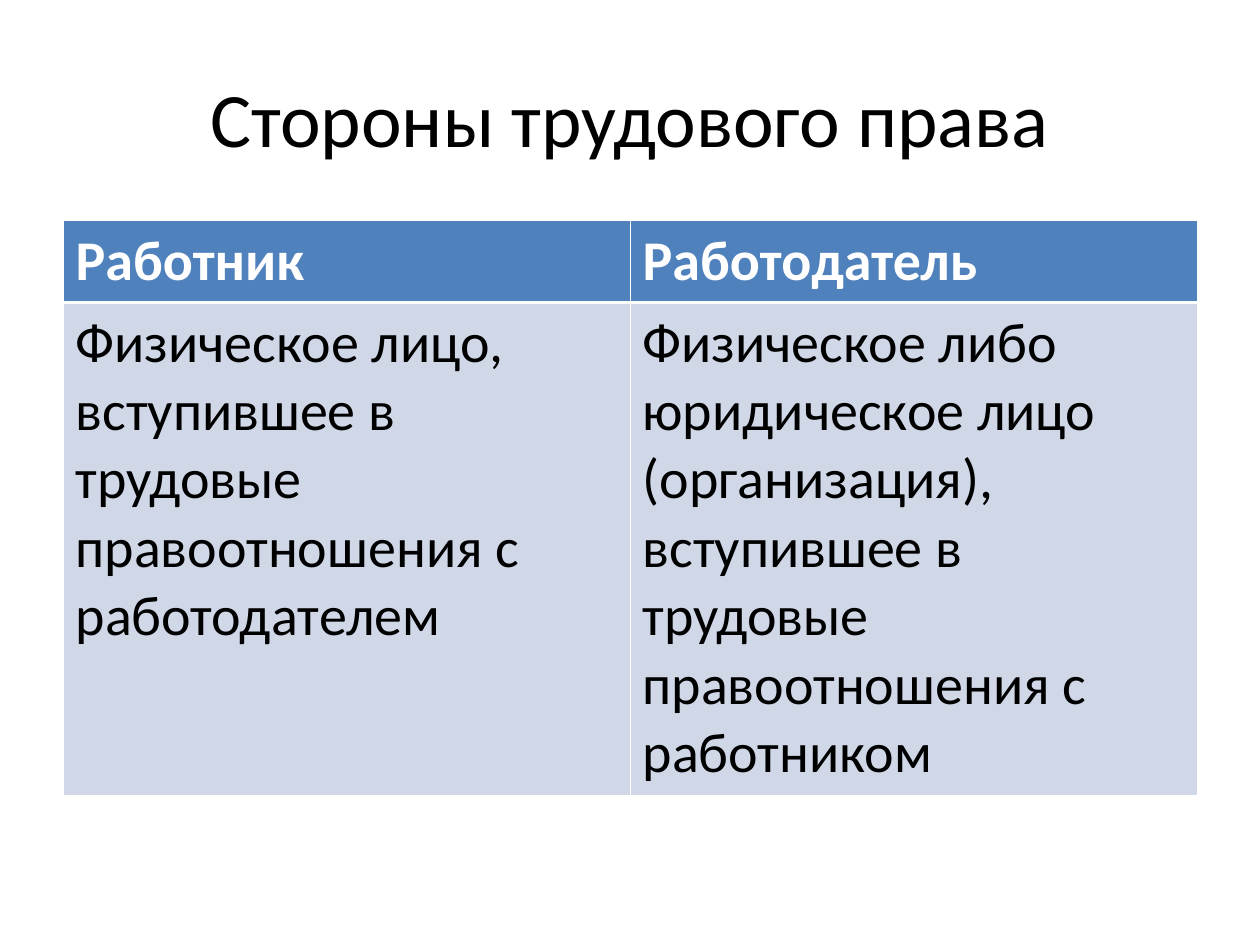
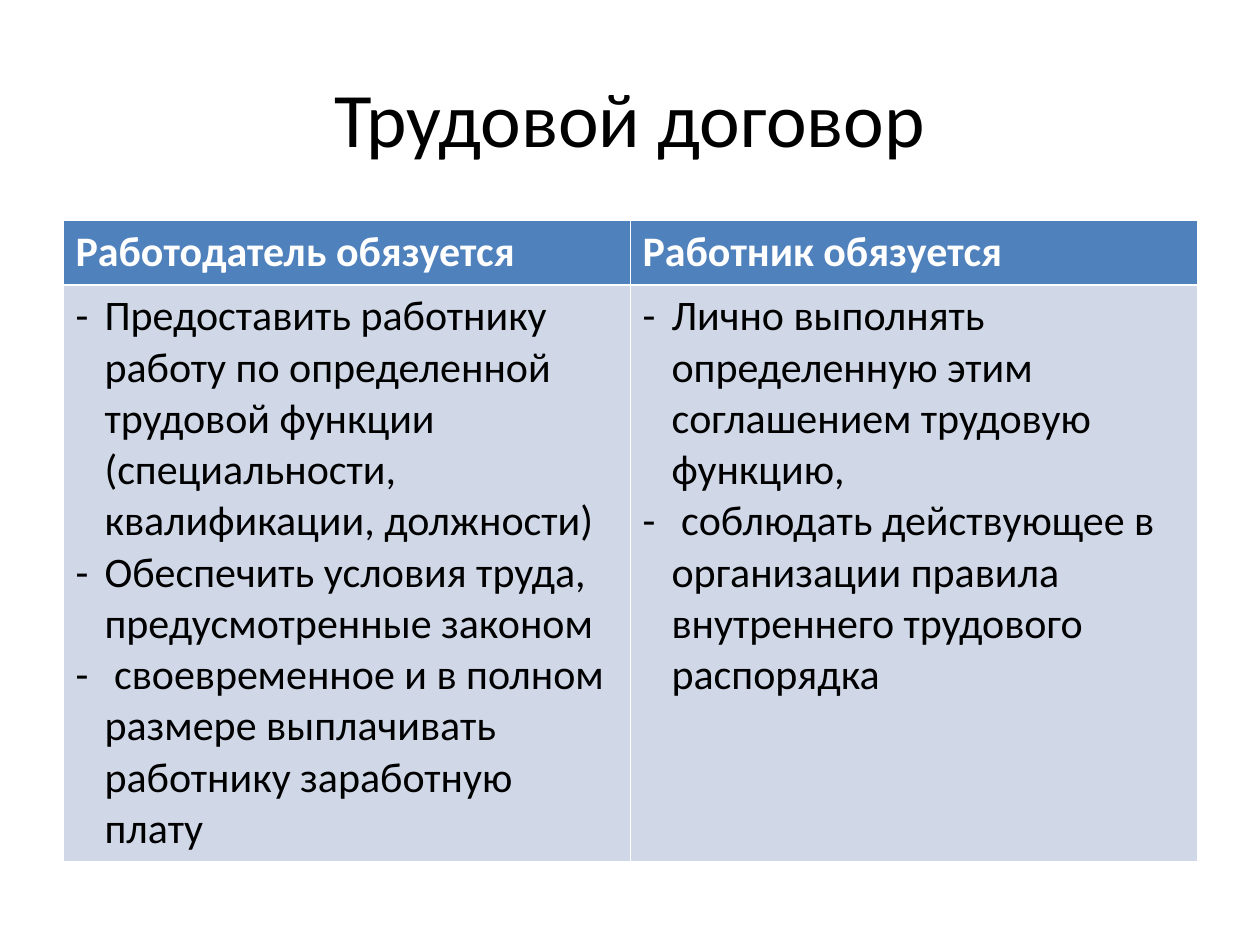
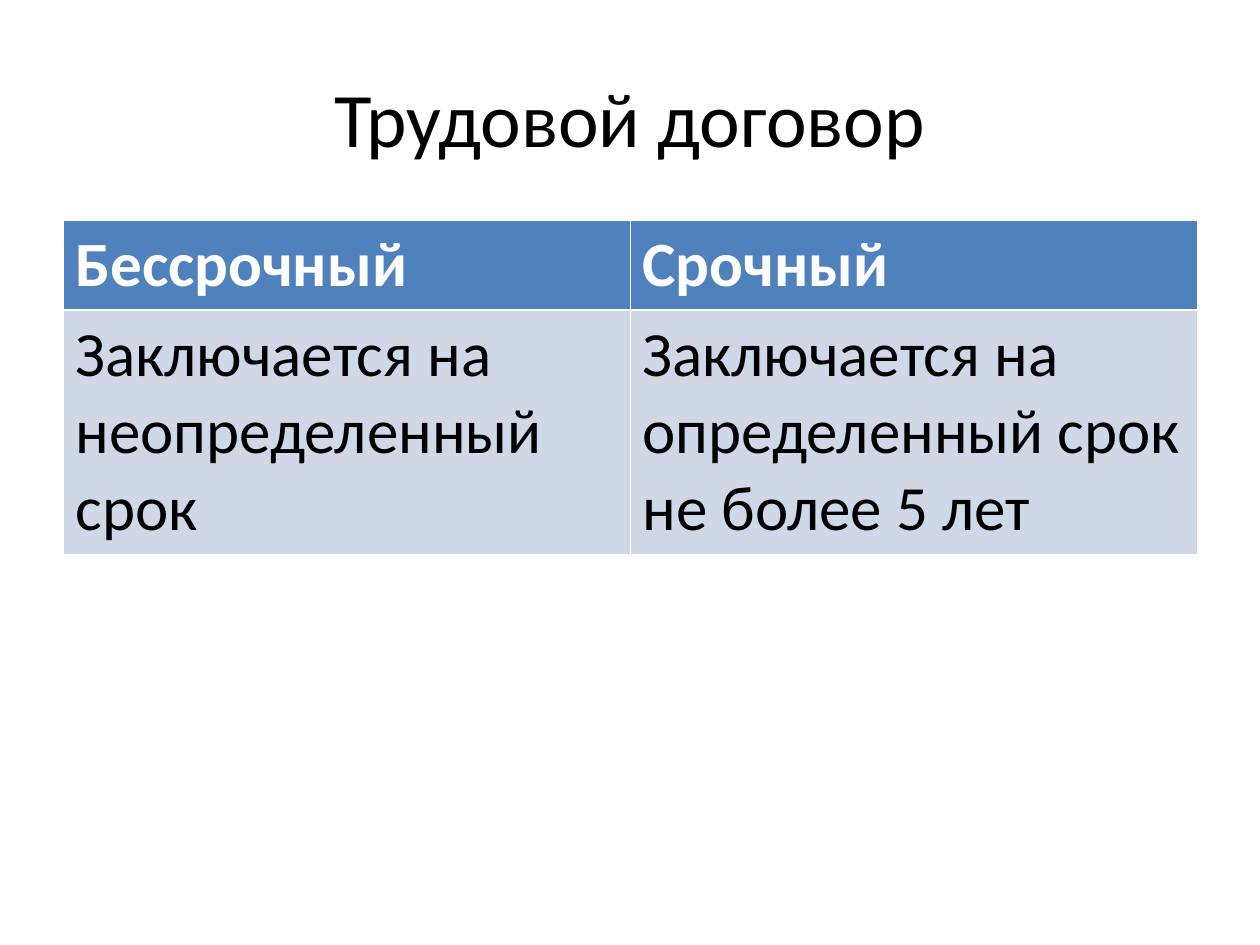
import dataclasses

import pptx
import pptx.dml.color
import pptx.enum.text
import pptx.oxml
import pptx.oxml.ns
import pptx.util
from pptx.util import Inches


def rgb(code):
    return pptx.dml.color.RGBColor.from_string(code)


@dataclasses.dataclass(frozen=True)
class Theme:
    font: str = "Calibri"
    ink: str = "000000"
    paper: str = "FFFFFF"
    header_fill: str = "4F81BD"
    body_fill: str = "D0D8E8"
    title_size: float = 44
    thin_rule: float = 0.45
    header_rule: float = 1.47


THEME = Theme()
MARGIN = 0.5
CONTENT_WIDTH = 9
TITLE_TOP, TITLE_HEIGHT = 0.3, 1.25
TABLE_TOP = 1.75
BULLET_INDENT = 0.23


@dataclasses.dataclass(frozen=True)
class Comparison:
    title: str
    size: float
    row_heights: tuple
    headings: tuple
    details: tuple
    bulleted: bool = False


COMPARISONS = (
    Comparison(
        "Стороны трудового права", 32, (0.65, 3.91),
        ("Работник", "Работодатель"),
        (
            ("Физическое лицо, вступившее в трудовые правоотношения с работодателем",),
            ("Физическое либо юридическое лицо (организация), вступившее в трудовые "
             "правоотношения с работником",),
        ),
    ),
    Comparison(
        "Трудовой договор", 24, (0.51, 4.17),
        ("Работодатель обязуется", "Работник обязуется"),
        (
            ("Предоставить работнику работу по определенной трудовой функции "
             "(специальности, квалификации, должности)",
             "Обеспечить условия труда, предусмотренные законом",
             " своевременное и в полном размере выплачивать работнику заработную плату"),
            ("Лично выполнять определенную этим соглашением трудовую функцию,",
             " соблюдать действующее в организации правила внутреннего трудового распорядка"),
        ),
        bulleted=True,
    ),
    Comparison(
        "Трудовой договор", 36, (0.71, 1.94),
        ("Бессрочный", "Срочный"),
        (
            ("Заключается на неопределенный срок",),
            ("Заключается на определенный срок не более 5 лет",),
        ),
    ),
)


def add_run(paragraph, text, size, color, bold=False):
    run = paragraph.add_run()
    run.text = text
    run.font.name = THEME.font
    run.font.size = pptx.util.Pt(size)
    run.font.bold = bold
    run.font.color.rgb = rgb(color)


def add_dash(paragraph):
    properties = paragraph._p.get_or_add_pPr()
    properties.set("marL", str(Inches(BULLET_INDENT)))
    properties.set("indent", str(-Inches(BULLET_INDENT)))
    namespace = pptx.oxml.ns.nsdecls("a")
    for markup in (
        f'<a:buClr {namespace}><a:srgbClr val="{THEME.ink}"/></a:buClr>',
        f'<a:buFont {namespace} typeface="{THEME.font}"/>',
        f'<a:buChar {namespace} char="-"/>',
    ):
        properties.append(pptx.oxml.parse_xml(markup))


def set_borders(cell, top, bottom):
    properties = cell._tc.get_or_add_tcPr()
    widths = {"lnL": THEME.thin_rule, "lnR": THEME.thin_rule, "lnT": top, "lnB": bottom}
    for edge, width in widths.items():
        properties.append(pptx.oxml.parse_xml(
            f'<a:{edge} {pptx.oxml.ns.nsdecls("a")} w="{pptx.util.Pt(width)}">'
            f'<a:solidFill><a:srgbClr val="{THEME.paper}"/></a:solidFill></a:{edge}>'
        ))


def fill_cell(cell, lines, size, heading=False, bulleted=False):
    rules = (THEME.thin_rule, THEME.header_rule)
    set_borders(cell, *(rules if heading else reversed(rules)))
    cell.fill.solid()
    cell.fill.fore_color.rgb = rgb(THEME.header_fill if heading else THEME.body_fill)
    cell.margin_left = cell.margin_right = Inches(0.1)
    cell.margin_top = cell.margin_bottom = Inches(0.05)
    frame = cell.text_frame
    for position, line in enumerate(lines):
        paragraph = frame.add_paragraph() if position else frame.paragraphs[0]
        if bulleted:
            add_dash(paragraph)
        add_run(paragraph, line, size, THEME.paper if heading else THEME.ink, heading)


def add_title(slide, text):
    title = slide.shapes.title
    title.left, title.top = Inches(MARGIN), Inches(TITLE_TOP)
    title.width, title.height = Inches(CONTENT_WIDTH), Inches(TITLE_HEIGHT)
    title.text_frame.vertical_anchor = pptx.enum.text.MSO_ANCHOR.MIDDLE
    paragraph = title.text_frame.paragraphs[0]
    paragraph.alignment = pptx.enum.text.PP_ALIGN.CENTER
    add_run(paragraph, text, THEME.title_size, THEME.ink)


def add_comparison_table(slide, comparison):
    heights = comparison.row_heights
    table = slide.shapes.add_table(
        len(heights), len(comparison.headings), Inches(MARGIN), Inches(TABLE_TOP),
        Inches(CONTENT_WIDTH), Inches(sum(heights)),
    ).table
    table.horz_banding = False
    for row, height in zip(table.rows, heights):
        row.height = Inches(height)
    for column, (heading, lines) in enumerate(zip(comparison.headings, comparison.details)):
        fill_cell(table.cell(0, column), (heading,), comparison.size, heading=True)
        fill_cell(table.cell(1, column), lines, comparison.size, bulleted=comparison.bulleted)


def main():
    presentation = pptx.Presentation()
    presentation.slide_width, presentation.slide_height = Inches(10), Inches(7.5)
    title_only = presentation.slide_layouts.get_by_name("Title Only")
    for comparison in COMPARISONS:
        slide = presentation.slides.add_slide(title_only)
        add_title(slide, comparison.title)
        add_comparison_table(slide, comparison)
    presentation.save("out.pptx")


if __name__ == "__main__":
    main()
